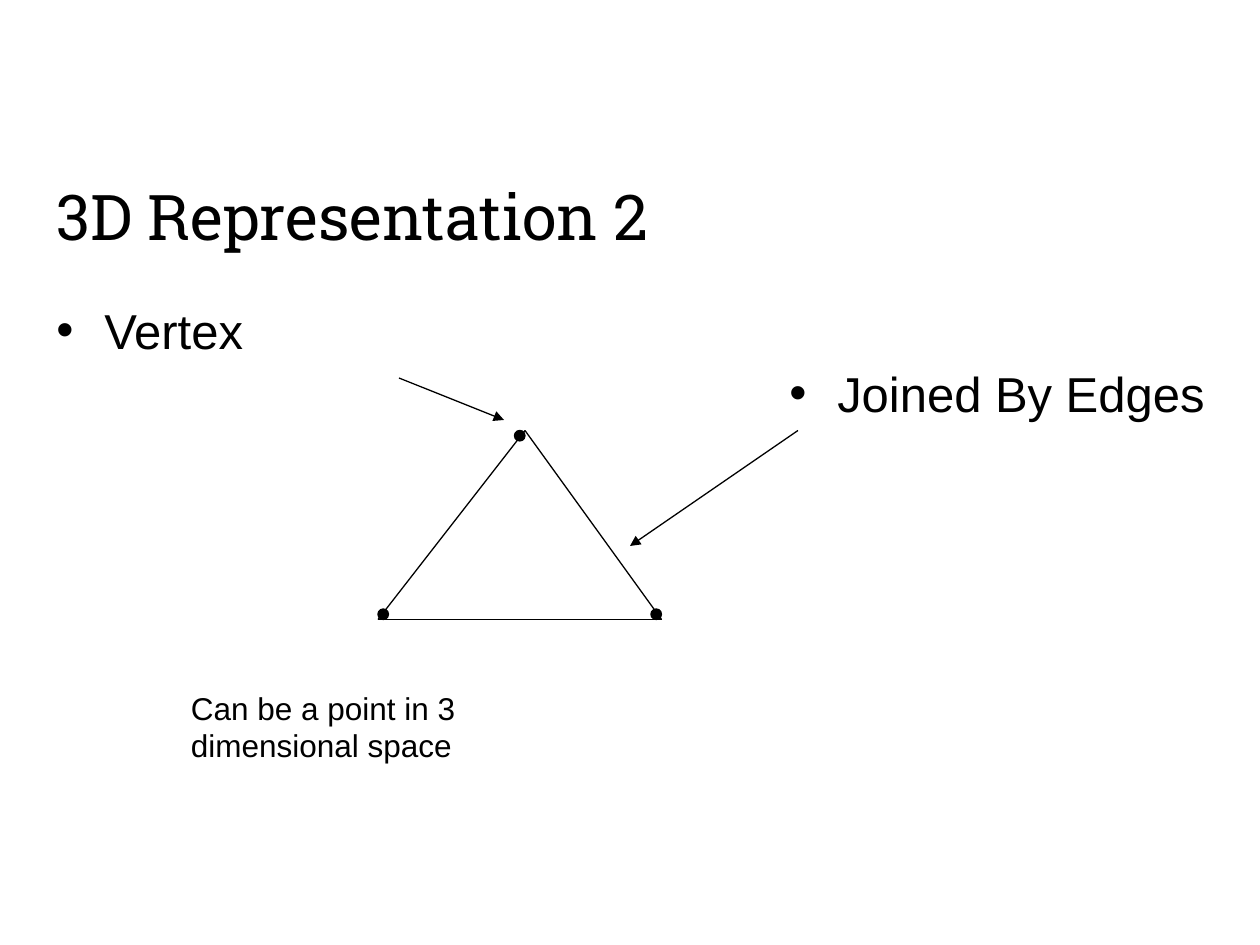
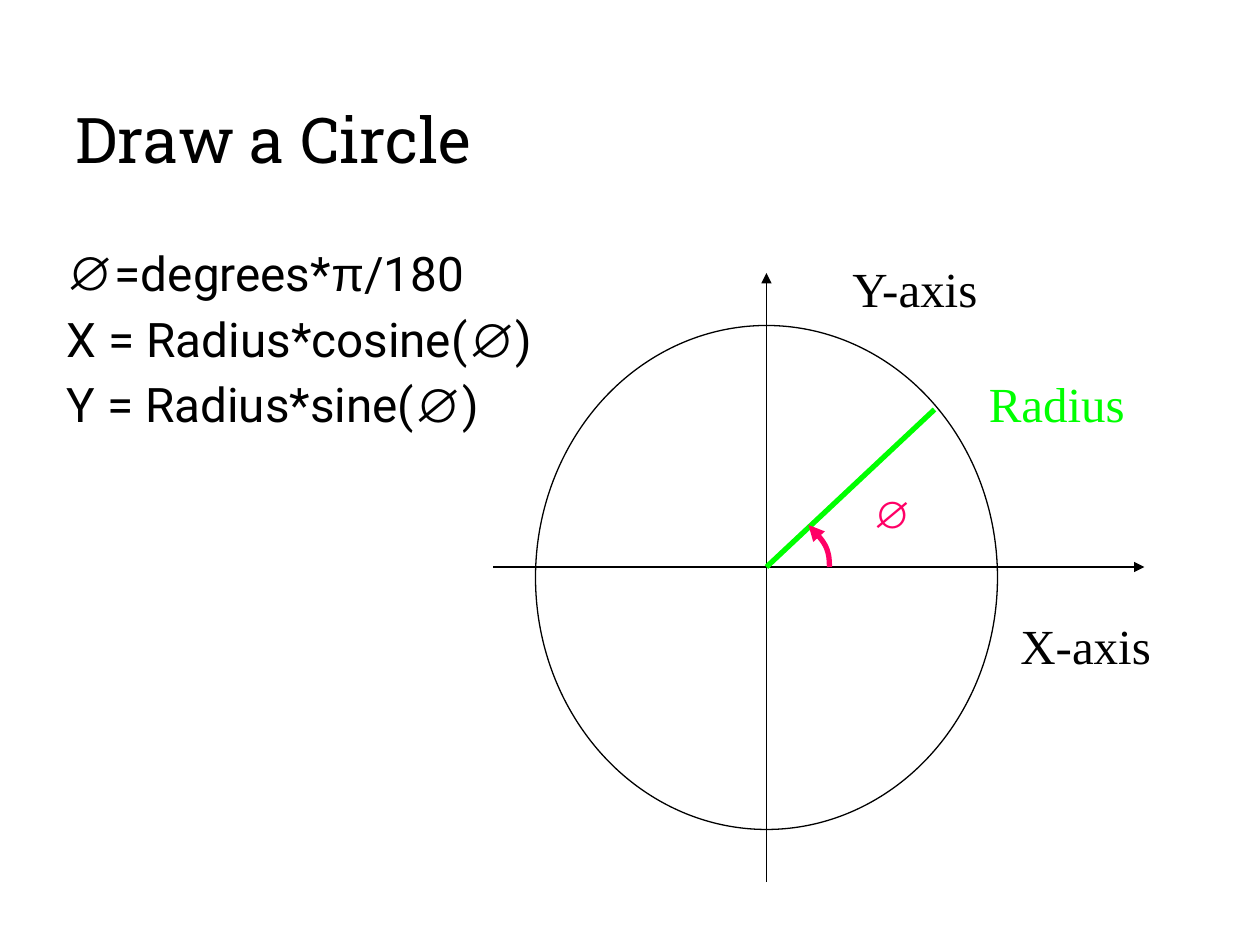
from itertools import combinations

from pptx import Presentation
from pptx.dml.color import RGBColor
from pptx.enum.shapes import MSO_CONNECTOR, MSO_SHAPE
from pptx.enum.text import MSO_ANCHOR
from pptx.oxml.ns import qn
from pptx.util import Inches, Pt
from lxml.etree import SubElement

CELLS_PER_INCH = 12
BLACK, GREEN, PINK = "000000", "00FF00", "FF0066"
TITLE_FONT, FORMULA_FONT = "Roboto Slab", "Roboto"
PLAIN_FONT, LABEL_FONT = "Arial", "Times New Roman"
THIN, THICK = 0.75, 3


def colour(value):
    return RGBColor.from_string(value)


def cells(*counts):
    """Turn counts of grid cells, twelve to the inch, into lengths."""
    return [Inches(count / CELLS_PER_INCH) for count in counts]


def curve_points(start, first, second, end, steps=16):
    """Points along a cubic Bezier curve."""
    for step in range(steps + 1):
        t = step / steps
        weights = ((1 - t) ** 3, 3 * t * (1 - t) ** 2, 3 * t * t * (1 - t), t ** 3)
        yield tuple(sum(w * p[axis] for w, p in zip(weights, (start, first, second, end)))
                    for axis in (0, 1))


class Board:
    """Draws on the current page; places are in grid cells."""

    def __init__(self):
        self.deck = Presentation()
        self.deck.slide_width, self.deck.slide_height = Inches(10), Inches(7.5)
        self.page = None

    def new_page(self):
        self.page = self.deck.slides.add_slide(self.deck.slide_layouts[6])

    def text(self, place, paragraphs, size, ink=BLACK, bold=False, anchor=MSO_ANCHOR.TOP,
             hanging=False, bullet=None, before=0, spacing=None):
        """Each paragraph is a list of (words, font); bullet marks the first one."""
        frame = self.page.shapes.add_textbox(*cells(*place)).text_frame
        frame.word_wrap = True
        frame.vertical_anchor = anchor
        for index, spans in enumerate(paragraphs):
            para = frame.add_paragraph() if index else frame.paragraphs[0]
            if index:
                para.space_before = Pt(before)
            if spacing:
                para.line_spacing = spacing
            if hanging:
                self.hang(para, bullet if index == 0 else None)
            for words, font in spans:
                span = para.add_run()
                span.text = words
                span.font.name, span.font.size = font, Pt(size)
                span.font.bold = bold
                span.font.color.rgb = colour(ink)

    def hang(self, para, bullet):
        properties = para._p.get_or_add_pPr()
        properties.set("marL", str(Inches(0.38)))
        properties.set("indent", str(-Inches(0.38)))
        if bullet:
            tint = SubElement(properties, qn("a:buClr"))
            SubElement(tint, qn("a:srgbClr"), val=BLACK)
            SubElement(properties, qn("a:buFont"), typeface=PLAIN_FONT)
            SubElement(properties, qn("a:buChar"), char=bullet)

    def title(self, place, words):
        self.text(place, [[(words, TITLE_FONT)]], 36, anchor=MSO_ANCHOR.MIDDLE)

    def bullet(self, place, words):
        self.text(place, [[(words, PLAIN_FONT)]], 28, hanging=True, bullet="•")

    def label(self, place, words, ink=BLACK):
        self.text(place, [[(words, LABEL_FONT)]], 28, ink)

    def stroke(self, shape, ink, width, arrow=None):
        """Style an outline; arrow is headEnd (start) or tailEnd (finish)."""
        shape.line.color.rgb = colour(ink)
        shape.line.width = Pt(width)
        if arrow:
            SubElement(shape.line._get_or_add_ln(), qn("a:" + arrow), type="triangle")

    def line(self, start, end, ink=BLACK, width=THIN, arrow=None):
        connector = self.page.shapes.add_connector(
            MSO_CONNECTOR.STRAIGHT, *cells(*start, *end))
        self.stroke(connector, ink, width, arrow)
        SubElement(connector._element.spPr, qn("a:effectLst"))

    def arrow(self, start, end):
        self.line(start, end, arrow="tailEnd")

    def ellipse(self, place, fill=None):
        shape = self.page.shapes.add_shape(MSO_SHAPE.OVAL, *cells(*place))
        shape.shadow.inherit = False
        if fill:
            shape.fill.solid()
            shape.fill.fore_color.rgb = colour(fill)
        else:
            shape.fill.background()
        self.stroke(shape, BLACK, THIN)

    def arc_arrow(self, start, first, second, end, ink):
        points = [cells(*point) for point in curve_points(start, first, second, end)]
        builder = self.page.shapes.build_freeform(*points[0])
        builder.add_line_segments(points[1:], close=False)
        shape = builder.convert_to_shape()
        shape.shadow.inherit = False
        shape.fill.background()
        self.stroke(shape, ink, THICK, "headEnd")


def draw_vertices_and_edges(board):
    board.new_page()
    board.title((4.2, 13, 110.5, 15), "3D Representation 2")
    board.bullet((4.2, 28, 54.2, 56.8), "Vertex")
    for start, end in combinations([(50, 41), (36, 59), (63, 59)], 2):
        board.line(start, end)
    board.text((17, 65, 32.2, 8.4),
               [[("Can be a point in 3 dimensional space", PLAIN_FONT)]], 18)
    for left, top in [(49, 41), (36, 58), (62, 58)]:
        board.ellipse((left, top, 1, 1), BLACK)
    board.arrow((38, 36), (48, 40))
    board.bullet((74, 34, 46, 8), "Joined By Edges")
    board.arrow((76, 41), (60, 52))


def draw_circle_and_radius(board):
    board.new_page()
    board.title((6, 5.9, 108, 14.6), "Draw a Circle")
    formulas = [[("=degrees*", FORMULA_FONT), ("π", PLAIN_FONT), ("/180", FORMULA_FONT)]]
    for opening in ("X = Radius*cosine(", "Y = Radius*sine("):
        formulas.append([(opening, FORMULA_FONT), ("∅", PLAIN_FONT), (")", FORMULA_FONT)])
    board.text((5.2, 23.3, 64.3, 19.8), formulas, 27.2,
               hanging=True, bullet="∅", before=8, spacing=0.9)
    origin = (73, 54)
    board.ellipse((51, 31, 44, 48))
    board.arrow((47, 54), (109, 54))
    board.arrow((73, 84), (73, 26))
    board.line(origin, (89, 39), GREEN, THICK)
    board.arc_arrow((77, 50), (78.5, 51.6), (79, 52.1), (79, 54), PINK)
    board.text((82, 47, 7, 6), [[("∅", PLAIN_FONT)]], 21.7, PINK, bold=True, spacing=0.8)
    board.label((96, 58, 16, 8), "X-axis")
    board.label((80, 24, 16, 8), "Y-axis")
    board.label((93, 35, 16, 6.8), "Radius", GREEN)


def main():
    board = Board()
    draw_vertices_and_edges(board)
    draw_circle_and_radius(board)
    board.deck.save("out.pptx")


if __name__ == "__main__":
    main()
